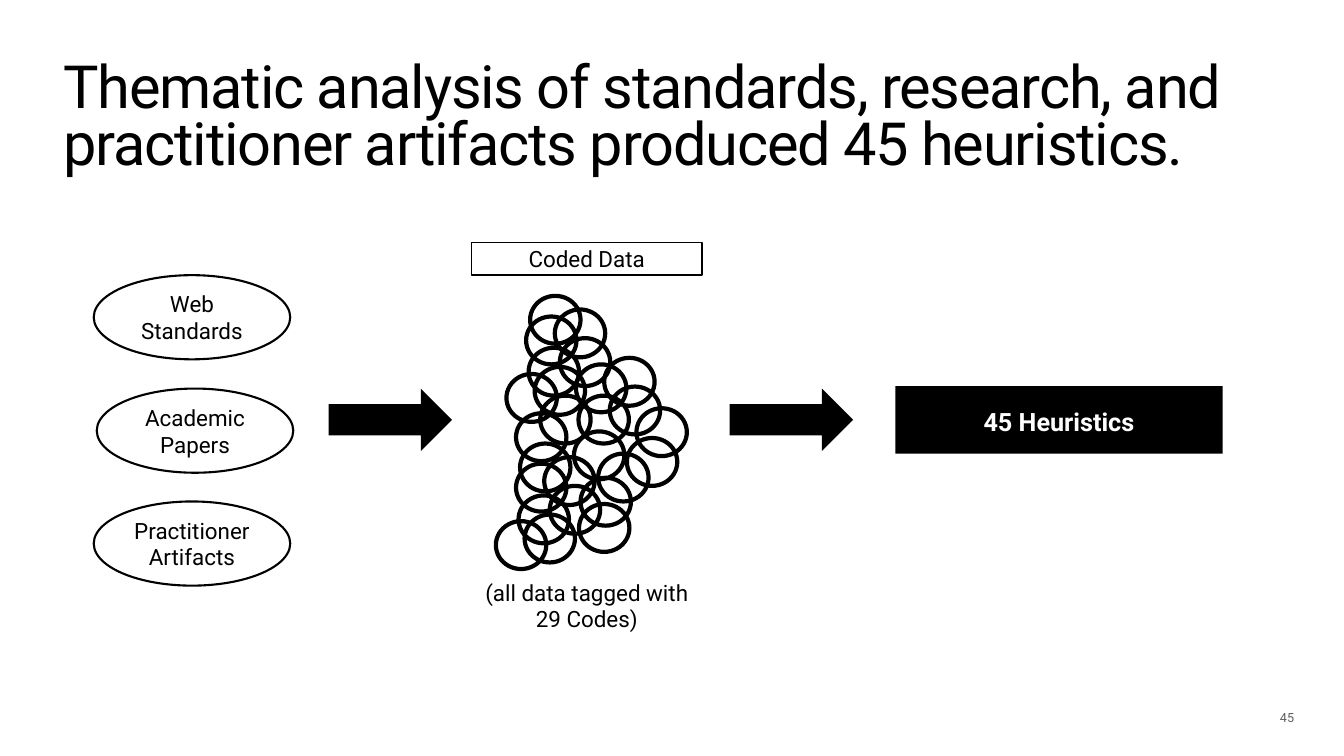
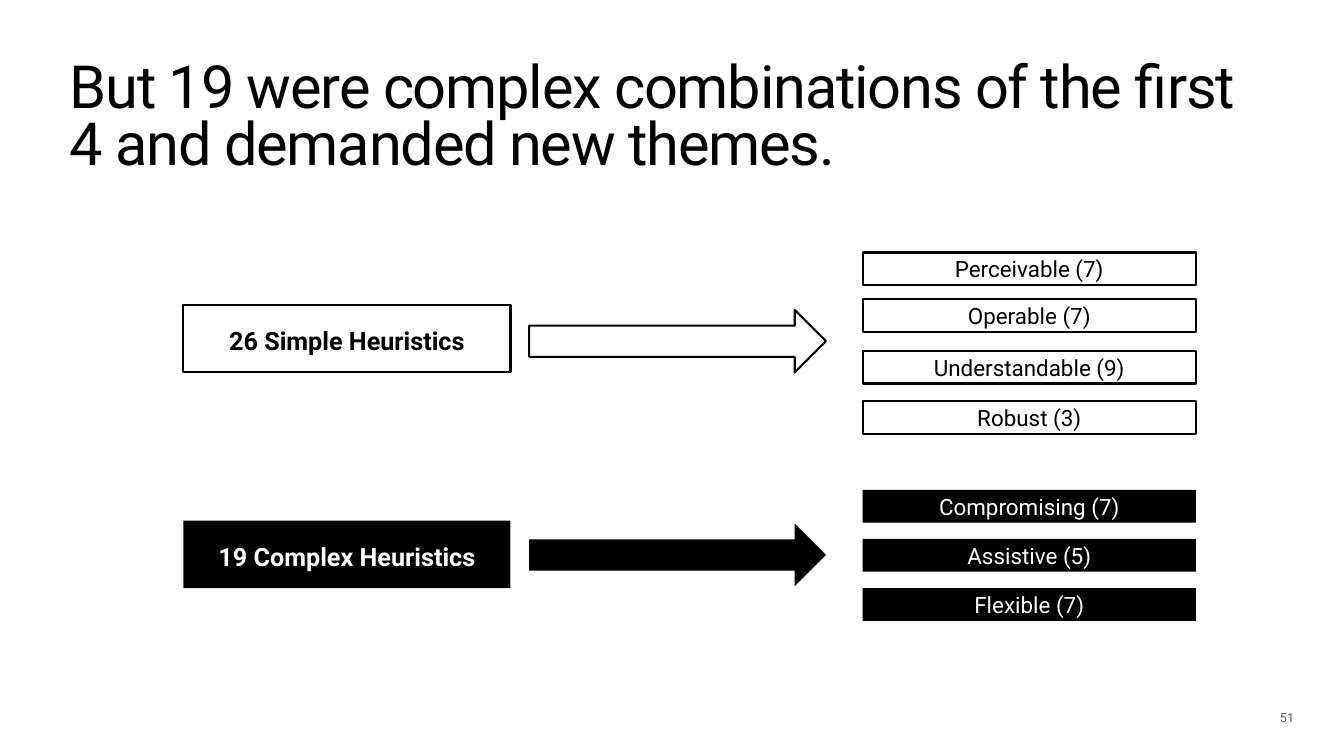
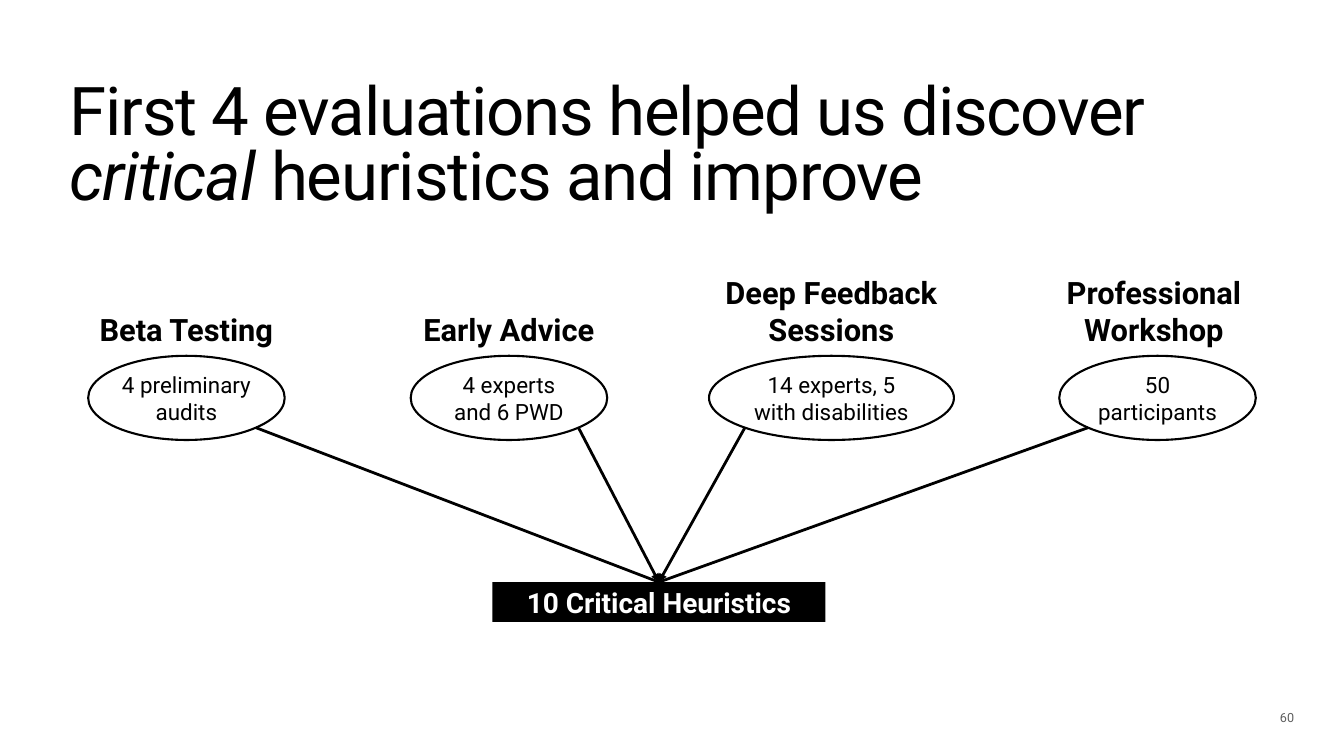
from dataclasses import dataclass

from lxml import etree
from pptx import Presentation
from pptx.dml.color import RGBColor
from pptx.enum.shapes import MSO_CONNECTOR, MSO_SHAPE
from pptx.enum.text import MSO_ANCHOR, PP_ALIGN
from pptx.oxml.ns import qn
from pptx.util import Inches, Pt

RECT, OVAL, ARROW = MSO_SHAPE.RECTANGLE, MSO_SHAPE.OVAL, MSO_SHAPE.RIGHT_ARROW
STRAIGHT = MSO_CONNECTOR.STRAIGHT
TOP, MIDDLE = MSO_ANCHOR.TOP, MSO_ANCHOR.MIDDLE
LEFT, CENTER = PP_ALIGN.LEFT, PP_ALIGN.CENTER


@dataclass(frozen=True)
class Theme:
    font: str = "Roboto"
    black: RGBColor = RGBColor(0, 0, 0)
    white: RGBColor = RGBColor(255, 255, 255)
    gray: RGBColor = RGBColor(0x5E, 0x5E, 0x5E)
    title: int = 85
    title_large: int = 96
    heading: int = 44
    result: int = 40
    label: int = 36
    body: int = 32
    number: int = 18
    margin: float = 0.06
    tracking: int = -170


class Deck:
    def __init__(self, theme):
        self.t = theme
        self.prs = Presentation()
        self.prs.slide_width = Inches(26.67)
        self.prs.slide_height = Inches(15)
        self.s = None

    def fill_text(self, tf, text, size, color, bold=False, align=CENTER, anchor=MIDDLE):
        """Fill a text frame; text is a string or a list of (text, italic) runs."""
        tf.word_wrap = True
        tf.vertical_anchor = anchor
        tf.margin_left = tf.margin_right = Inches(self.t.margin)
        tf.margin_top = tf.margin_bottom = Inches(self.t.margin)
        p = tf.paragraphs[0]
        p.alignment = align
        for part, italic in [(text, False)] if isinstance(text, str) else text:
            r = p.add_run()
            r.text = part
            r.font.name = self.t.font
            r.font.size = Pt(size)
            r.font.bold = bold
            r.font.italic = italic
            r.font.color.rgb = color
        return p

    def slide(self, title, box, number, size):
        """Start a slide with its title and page number."""
        self.s = self.prs.slides.add_slide(self.prs.slide_layouts[5])
        sp = self.s.shapes.title
        sp.left, sp.top, sp.width, sp.height = map(Inches, box)
        p = self.fill_text(sp.text_frame, title, size, self.t.black, align=LEFT, anchor=TOP)
        p.line_spacing = 0.8
        for r in p.runs:
            r._r.get_or_add_rPr().set("spc", str(self.t.tracking))
        p = self.text(number, 25.09, 14.02, 0.66, 0.7, self.t.number, self.t.gray,
                      align=LEFT, anchor=TOP)
        pPr = p._p.get_or_add_pPr()
        pPr.set("marL", str(Inches(0.5)))
        pPr.set("indent", str(Inches(-0.25)))

    def text(self, text, x, y, w, h, size, color, **style):
        box = self.s.shapes.add_textbox(Inches(x), Inches(y), Inches(w), Inches(h))
        return self.fill_text(box.text_frame, text, size, color, **style)

    def shape(self, kind, x, y, w, h, fill=None, line=None, parent=None):
        shapes = (parent or self.s).shapes
        sp = shapes.add_shape(kind, Inches(x), Inches(y), Inches(w), Inches(h))
        sp.shadow.inherit = False
        if fill is None:
            sp.fill.background()
        else:
            sp.fill.solid()
            sp.fill.fore_color.rgb = fill
        if line is None:
            sp.line.fill.background()
        else:
            sp.line.color.rgb = self.t.black
            sp.line.width = Pt(line)
        return sp

    def solid(self, kind, x, y, w, h, dark):
        """A black shape, or a white one with a black outline."""
        fill, line = (self.t.black, None) if dark else (self.t.white, 3)
        return self.shape(kind, x, y, w, h, fill, line)

    def ink(self, dark):
        return self.t.white if dark else self.t.black

    def oval(self, text, x, y, w=3.9, h=1.67):
        sp = self.shape(OVAL, x, y, w, h, line=3)
        self.fill_text(sp.text_frame, text, self.t.body, self.t.black)
        return sp

    def circles(self, points):
        group = self.s.shapes.add_group_shape()
        for x, y in points:
            self.shape(OVAL, x, y, 1, 0.95, line=6, parent=group)

    def bar(self, text, x, y, w=6.61, h=0.65, dark=False, size=None, bold=False):
        sp = self.solid(RECT, x, y, w, h, dark)
        self.fill_text(sp.text_frame, text, size or self.t.body, self.ink(dark), bold)
        return sp

    def block(self, text, x, y, dark, inset=0):
        """A large box with a bold label laid over it."""
        w = 6.49
        self.solid(RECT, x, y, w, 1.34, dark)
        self.text(text, x + inset, y + 0.35, w - 2 * inset, 0.72, self.t.label,
                  self.ink(dark), bold=True)

    def arrow(self, x, y, w, dark=True):
        self.solid(ARROW, x, y, w, 1.24, dark)

    def connect(self, start, target, head):
        """Line from a point to the top middle of the target."""
        c = self.s.shapes.add_connector(STRAIGHT, *start, *start)
        c.end_connect(target, 0)
        c.line.color.rgb = self.t.black
        c.line.width = Pt(4)
        spPr = c._element.spPr
        if head:
            etree.SubElement(spPr.find(qn("a:ln")), qn("a:tailEnd"), type="triangle")
        etree.SubElement(spPr, qn("a:effectLst"))


CODED_DATA = [
    (10.52, 5.87), (11.11, 6.71), (11.01, 6.14), (10.49, 6.9), (10.44, 6.28),
    (10.72, 7.85), (10.61, 7.28), (10.24, 8.2), (10.05, 7.42), (12.1, 7.67),
    (11.99, 7.1), (11.48, 7.85), (11.43, 7.23), (10.32, 8.8), (10.91, 9.64),
    (10.8, 9.07), (10.29, 9.83), (10.24, 9.2), (11.52, 9.48), (10.41, 10.21),
    (11.49, 10), (9.84, 10.34), (11.87, 9), (11.39, 8.56), (12.63, 8.1),
    (12.44, 8.69),
]


def thematic_analysis(d):
    d.slide("Thematic analysis of standards, research, and practitioner artifacts "
            "produced 45 heuristics.", (1.2, 1.18, 24.22, 3.58), "45", d.t.title)
    # Sources
    for text, x, y in [("Web Standards", 1.86, 5.46), ("Academic Papers", 1.92, 7.71),
                       ("Practitioner Artifacts", 1.86, 9.95)]:
        d.oval(text, x, y)
    # Coded data
    d.bar("Coded Data", 9.36, 4.81, w=4.57).line.width = Pt(2.25)
    d.circles(CODED_DATA)
    d.text("(all data tagged with 29 Codes)", 9.55, 11.42, 4.19, 1.19, d.t.body, d.t.black)
    # Result
    for x in (6.52, 14.48):
        d.arrow(x, 7.71, 2.45)
    d.block("45 Heuristics", 17.77, 7.66, dark=True, inset=1.36)


def new_themes(d):
    d.slide("But 19 were complex combinations of the first 4 and demanded new themes.",
            (1.32, 1.18, 24.03, 3.58), "51", d.t.title)
    # Each group: label, block top, arrow top, dark, themes
    groups = [
        ("26 Simple Heuristics", 6.05, 6.15, False,
         [("Perceivable (7)", 5.01), ("Operable (7)", 5.94),
          ("Understandable (9)", 6.96), ("Robust (3)", 7.96)]),
        ("19 Complex Heuristics", 10.33, 10.39, True,
         [("Compromising (7)", 9.72), ("Assistive (5)", 10.69), ("Flexible (7)", 11.67)]),
    ]
    for label, block_y, arrow_y, dark, themes in groups:
        for text, y in themes:
            d.bar(text, 17.12, y, dark=dark)
        d.arrow(10.5, arrow_y, 5.89, dark)
        d.block(label, 3.64, block_y, dark)


def critical_heuristics(d):
    d.slide([("First 4 evaluations helped us discover ", False), ("critical ", True),
             ("heuristics and improve", False)],
            (1.32, 1.61, 24.03, 3.08), "60", d.t.title_large)
    result = d.bar("10 Critical Heuristics", 9.77, 11.55, h=0.79, dark=True,
                   size=d.t.result, bold=True)
    # Each evaluation: heading, its height, oval text, oval left and width, arrowhead
    evaluations = [
        ("Beta Testing", 0.85, "4 preliminary audits", 1.75, 3.9, False),
        ("Early Advice", 0.85, "4 experts and 6 PWD", 8.15, 3.9, True),
        ("Deep Feedback Sessions", 1.59, "14 experts, 5 with disabilities", 14.07, 4.86, True),
        ("Professional Workshop", 1.59, "50 participants", 21.02, 3.9, False),
    ]
    diagonal = 0.5 + 0.125 ** 0.5  # lower corner point of an oval, as a share of its size
    for i, (heading, h, text, x, w, head) in enumerate(evaluations):
        d.text(heading, 1.27 + 6.4 * i, 6.96 - h, 4.86, h, d.t.heading, d.t.black, bold=True)
        oval = d.oval(text, x, 7.06, w)
        across = diagonal if i < 2 else 1 - diagonal
        start = (int(oval.left + oval.width * across), int(oval.top + oval.height * diagonal))
        d.connect(start, result, head)


def main():
    d = Deck(Theme())
    thematic_analysis(d)
    new_themes(d)
    critical_heuristics(d)
    d.prs.save("out.pptx")


if __name__ == "__main__":
    main()
